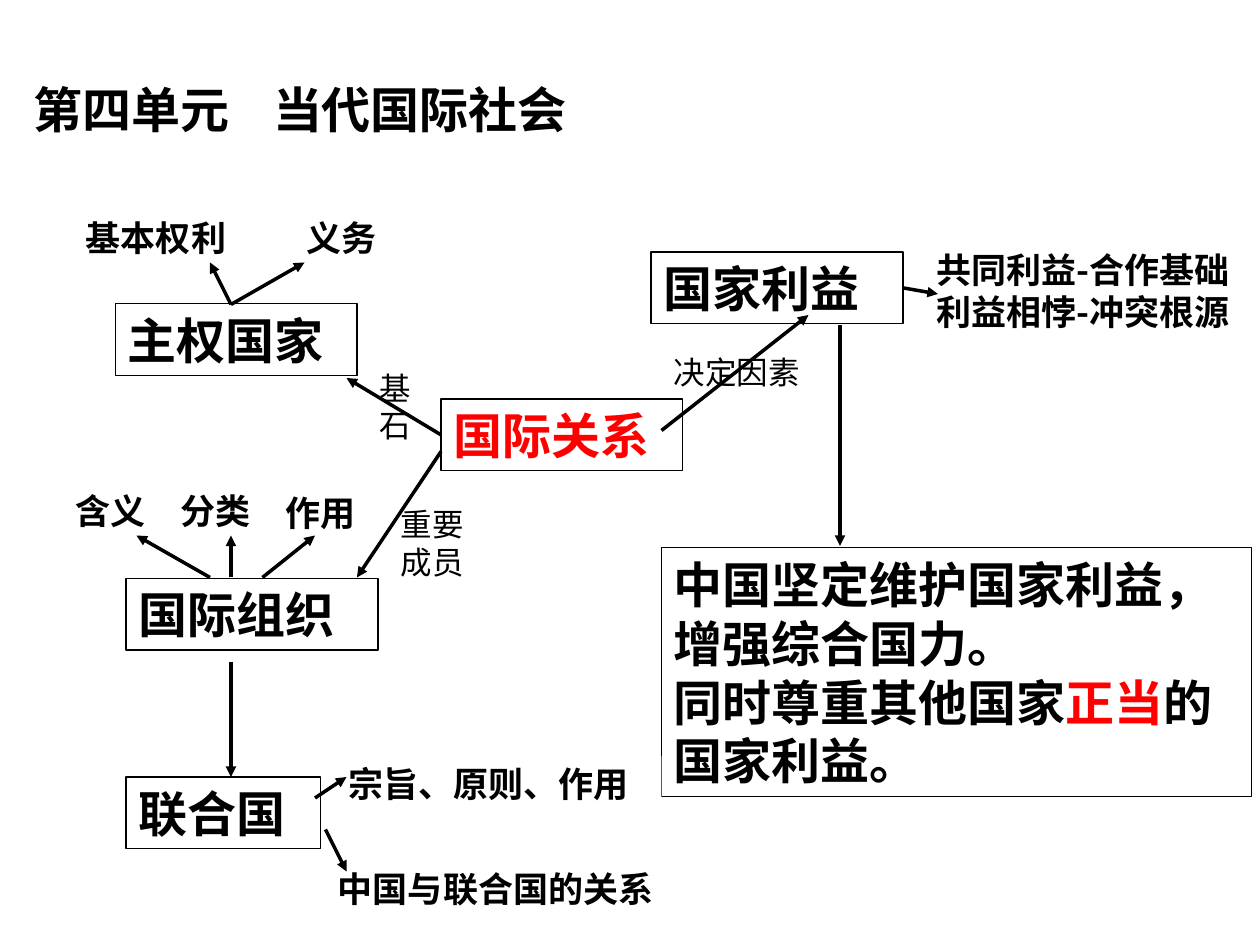
from lxml import etree
from pptx import Presentation, util as u
from pptx.dml.color import RGBColor
from pptx.enum import shapes, text
from pptx.oxml import ns

COLOURS = {"ink": "000000", "accent": "FF0000", "paper": "FFFFFF"}
FONT = "Noto Sans CJK SC"


class ConceptMap:
    """Holds the slide and its style, and draws boxes, labels and arrows."""

    def __init__(self, page):
        self.page = page

    def colour(self, name):
        return RGBColor.from_string(COLOURS[name])

    def span(self, para, words, size, bold, colour):
        span = para.add_run()
        span.text = words
        span.font.size, span.font.bold = u.Pt(size), bold
        span.font.name = FONT
        span.font.color.rgb = self.colour(colour)
        east = etree.SubElement(span.font._element, ns.qn("a:ea"))
        east.set("typeface", FONT)

    def fill_text(self, shape, paragraphs, size, bold, anchor, tab=None):
        frame = shape.text_frame
        frame.word_wrap = True
        frame.auto_size = text.MSO_AUTO_SIZE.SHAPE_TO_FIT_TEXT
        frame.vertical_anchor = anchor
        for index, spans in enumerate(paragraphs):
            para = frame.add_paragraph() if index else frame.paragraphs[0]
            para.alignment = text.PP_ALIGN.LEFT
            if tab:
                stops = etree.SubElement(para._p.get_or_add_pPr(), ns.qn("a:tabLst"))
                etree.SubElement(stops, ns.qn("a:tab"), pos=str(u.Pt(tab)), algn="l")
            for words, colour in spans:
                for number, line in enumerate(words.split("\n")):
                    if number:
                        para.add_line_break()
                    self.span(para, line, size, bold, colour)

    def box(self, place, paragraphs, size=28, bold=True, border=True, tab=None):
        box = self.page.shapes.add_shape(
            shapes.MSO_SHAPE.RECTANGLE, *(u.Pt(value) for value in place))
        box.shadow.inherit = False
        box.fill.solid()
        box.fill.fore_color.rgb = self.colour("paper")
        if border:
            box.line.color.rgb = self.colour("ink")
            box.line.width = u.Pt(0.75)
        else:
            box.line.fill.background()
        self.fill_text(box, paragraphs, size, bold, text.MSO_ANCHOR.MIDDLE, tab)
        return box

    def label(self, place, words, size=20, bold=True):
        return self.box(place, [[(words, "ink")]], size, bold, border=False)

    def caption(self, place, words):
        caption = self.page.shapes.add_textbox(*(u.Pt(value) for value in place))
        self.fill_text(caption, [[(words, "ink")]], 18, False, text.MSO_ANCHOR.TOP)

    def arrow(self, start, end, origin=None, side=0):
        arrow = self.page.shapes.add_connector(
            shapes.MSO_CONNECTOR.STRAIGHT, *(u.Pt(value) for value in start + end))
        if origin is not None:
            arrow.begin_connect(origin, side)
        arrow.line.color.rgb = self.colour("ink")
        arrow.line.width = u.Pt(2)
        etree.SubElement(arrow.line._get_or_add_ln(), ns.qn("a:tailEnd"), type="triangle")
        etree.SubElement(arrow._element.spPr, ns.qn("a:effectLst"))


def main():
    deck = Presentation()
    deck.slide_width, deck.slide_height = u.Pt(720), u.Pt(540)
    chart = ConceptMap(deck.slides.add_slide(deck.slide_layouts[6]))

    chart.label((210, 207, 30, 50.4), "基石", 18, False)
    chart.box((12, 42, 396, 41), [[("第四单元\t当代国际社会", "ink")]],
              border=False, tab=137)
    relations = chart.box((252, 228, 138, 41), [[("国际关系", "accent")]])
    interests = chart.box((372, 144, 144, 41), [[("国家利益", "ink")]])
    for place, words in (
        ((66, 173.5, 138, 41), "主权国家"),
        ((72, 330.5, 144, 41), "国际组织"),
        ((72, 444, 111, 41), "联合国"),
    ):
        chart.box(place, [[(words, "ink")]])
    chart.box((378, 313, 337, 142), [
        [("中国坚定维护国家利益，\n增强综合国力。", "ink")],
        [("同时尊重其他国家", "ink"), ("正当", "accent"), ("的\n国家利益。", "ink")],
    ])

    for place, words in (
        ((42, 120, 113, 31.5), "基本权利"),
        ((168, 120, 72, 31.5), "义务"),
        ((36, 276, 60, 31.5), "含义"),
        ((96, 276, 60, 31.5), "分类"),
        ((156, 277, 60, 31.5), "作用"),
        ((192, 432, 186, 31.5), "宗旨、原则、作用"),
        ((186, 492, 204, 31.5), "中国与联合国的关系"),
        ((528, 138, 204, 55.5), "共同利益-合作基础\n利益相悖-冲突根源"),
    ):
        chart.label(place, words)
    chart.label((222, 285, 60, 50.4), "重要成员", 18, False)
    chart.caption((378, 198, 96, 29), "决定因素")

    chart.arrow((252, 248.5), (198, 216), relations, 1)
    chart.arrow((516, 164.5), (536, 168), interests, 3)
    for start, end in (
        ((252, 258), (204, 330)),
        ((378, 246), (462, 180)),
        ((480, 186), (480, 312)),
        ((132, 174), (120, 150)),
        ((132, 174), (174, 150)),
        ((120, 330), (78, 306)),
        ((132, 330), (132, 306)),
        ((150, 330), (180, 306)),
        ((132, 378), (132, 444)),
        ((180, 456), (198, 444)),
        ((186, 474), (198, 498)),
    ):
        chart.arrow(start, end)
    deck.save("out.pptx")


if __name__ == "__main__":
    main()
